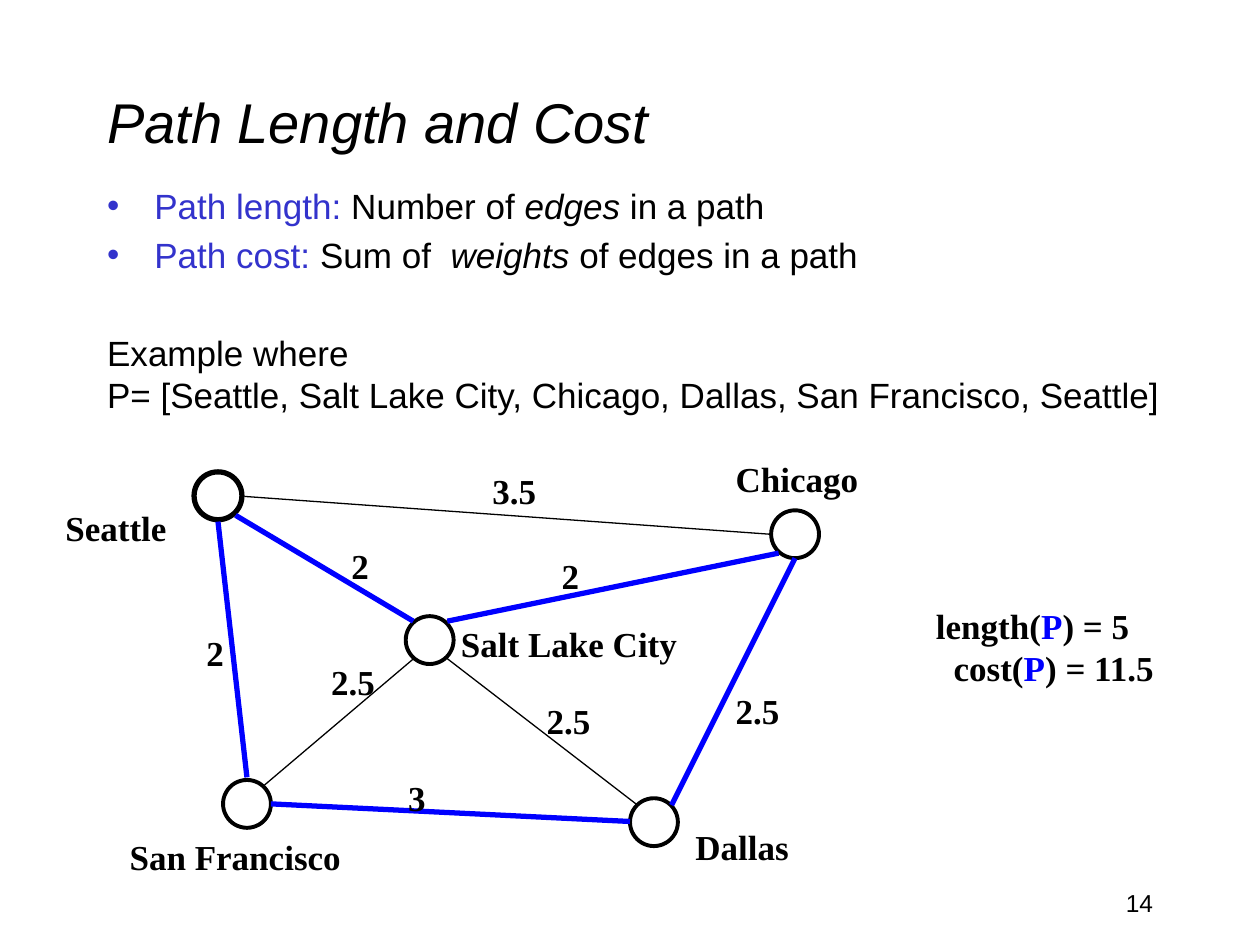
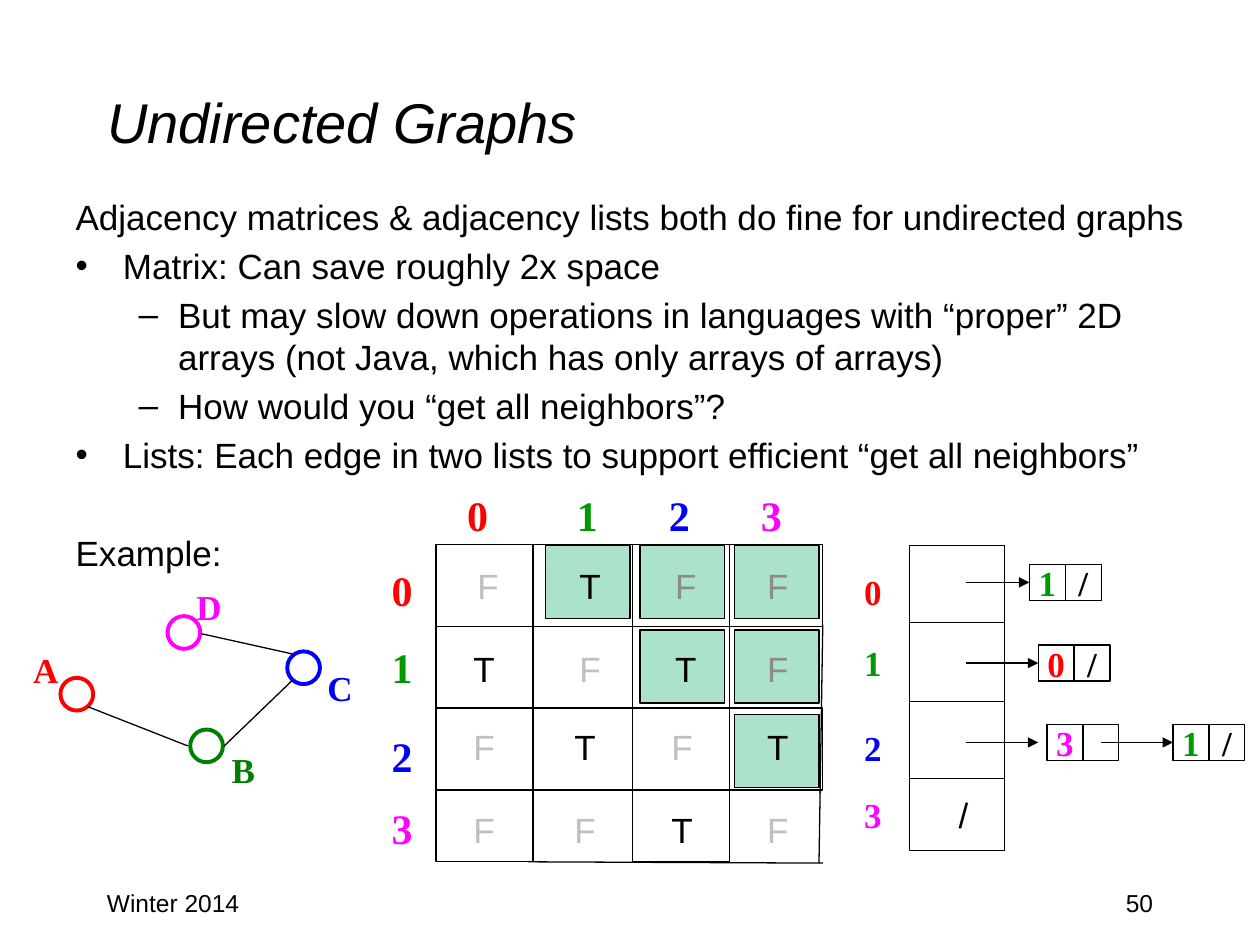
from lxml.etree import SubElement
from pptx import Presentation
from pptx.dml.color import RGBColor
from pptx.enum.shapes import MSO_CONNECTOR as CONNECTOR, MSO_SHAPE as SHAPE
from pptx.enum.text import MSO_ANCHOR as ANCHOR, MSO_AUTO_SIZE as AUTO_SIZE, PP_ALIGN as ALIGN
from pptx.oxml.ns import qn
from pptx.util import Inches, Pt

SANS, SERIF = "Arial", "Times New Roman"
BLACK, WHITE, GRAY, DARK_GRAY, MINT = "000000", "FFFFFF", "BFBFBF", "8C8C8C", "AAE2CA"
BLUE, TERM_BLUE = "0000FF", "3333CC"
RED, GREEN, DARK_GREEN, MAGENTA = "FF0000", "009900", "008000", "FF00FF"
INDEX_COLOURS = [RED, GREEN, BLUE, MAGENTA]

presentation = Presentation()
presentation.slide_width, presentation.slide_height = Inches(10), Inches(7.5)

# The slide is a grid of 100 columns by 75 rows; all lengths below count cells
COLUMN = presentation.slide_width / 100
ROW = presentation.slide_height / 75


def add_runs(paragraph, runs, size, font=SERIF, bold=False):
    """Each run is (text, colour) or (text, colour, italic)."""
    for text, colour, *italic in runs:
        if text == "\n":
            paragraph.add_line_break()
            SubElement(paragraph._p[-1], qn("a:rPr"), sz=str(size * 100))
            continue
        run = paragraph.add_run()
        run.text = text
        run.font.name, run.font.size = font, Pt(size)
        run.font.bold, run.font.italic = bold, bool(italic)
        run.font.color.rgb = RGBColor.from_string(colour)


def draw_shape(slide, kind, left, top, width, height, line=BLACK, weight=0.75, fill=None):
    shape = slide.shapes.add_shape(
        kind, int(left * COLUMN), int(top * ROW), int(width * COLUMN), int(height * ROW))
    shape.shadow.inherit = False
    if fill:
        shape.fill.solid()
        shape.fill.fore_color.rgb = RGBColor.from_string(fill)
    else:
        shape.fill.background()
    shape.line.color.rgb = RGBColor.from_string(line)
    shape.line.width = Pt(weight)
    return shape


# Body paragraphs: level, bullet, left indent, hanging indent, space before, runs
length_body = [
    (0, "•", 3.75, 3.75, 0, [("Path length:", TERM_BLUE), (" Number of ", BLACK),
                             ("edges", BLACK, True), (" in a path", BLACK)]),
    (0, "•", 3.75, 3.75, 4, [("Path cost:", TERM_BLUE), (" Sum of  ", BLACK),
                             ("weights", BLACK, True), (" of edges in a path", BLACK)]),
    (0, None, 0, 0, 32, [
        ("Example where", BLACK), ("\n", BLACK),
        ("P= [Seattle, Salt Lake City, Chicago, Dallas, San Francisco, Seattle]", BLACK)]),
]
undirected_body = [
    (0, None, 3.75, 3.75, 0, [
        ("Adjacency matrices & adjacency lists both do fine for undirected graphs", BLACK)]),
    (0, "•", 3.75, 3.75, 4, [("Matrix: Can save roughly 2x space", BLACK)]),
    (1, "–", 8.13, 3.13, 4, [
        ("But may slow down operations in languages with “proper” 2D "
         "arrays (not Java, which has only arrays of arrays)", BLACK)]),
    (1, "–", 8.13, 3.13, 4, [("How would you “get all neighbors”?", BLACK)]),
    (0, "•", 3.75, 3.75, 4, [
        ("Lists: Each edge in two lists to support efficient “get all neighbors”", BLACK)]),
    (0, None, 3.75, 3.75, 32, [("Example:", BLACK)]),
]

# Titles, bodies and footers
slides = []
for title, body_area, body_paragraphs, footers in [
    ("Path Length and Cost", (7.5, 14.15, 87.5, 20.8), length_body,
     [(71.7, "14", ALIGN.RIGHT)]),
    ("Undirected Graphs", (5, 15, 90.8, 49.2), undirected_body,
     [(7.5, "Winter 2014", ALIGN.LEFT), (71.7, "50", ALIGN.RIGHT)]),
]:
    slide = presentation.slides.add_slide(presentation.slide_layouts[1])
    slides.append(slide)
    title_box, body_box = slide.placeholders
    for box, (left, top, width, height), anchor in [
        (title_box, (7.5, 3.35, 85, 12.5), ANCHOR.MIDDLE),
        (body_box, body_area, ANCHOR.TOP),
    ]:
        box.left, box.top = int(left * COLUMN), int(top * ROW)
        box.width, box.height = int(width * COLUMN), int(height * ROW)
        box.text_frame.auto_size = AUTO_SIZE.NONE
        box.text_frame.vertical_anchor = anchor
    heading = title_box.text_frame.paragraphs[0]
    heading.alignment = ALIGN.LEFT
    add_runs(heading, [(title, BLACK, True)], 32, SANS)

    for number, (level, bullet, indent, hanging, space, runs) in enumerate(body_paragraphs):
        frame = body_box.text_frame
        paragraph = frame.add_paragraph() if number else frame.paragraphs[0]
        paragraph.level, paragraph.space_before = level, Pt(space)
        properties = paragraph._p.get_or_add_pPr()
        properties.set("marL", str(int(indent * COLUMN)))
        properties.set("indent", str(int(-hanging * COLUMN)))
        if bullet:
            SubElement(properties, qn("a:buChar"), char=bullet)
        else:
            SubElement(properties, qn("a:buNone"))
        add_runs(paragraph, runs, 20, SANS)

    for left, text, alignment in footers:
        footer = slide.shapes.add_textbox(
            int(left * COLUMN), int(70 * ROW), int(20.8 * COLUMN), int(5 * ROW))
        footer.text_frame.word_wrap = True
        paragraph = footer.text_frame.paragraphs[0]
        paragraph.alignment = alignment
        add_runs(paragraph, [(text, BLACK)], 14, SANS)

length_slide, undirected_slide = slides
lines = []   # slide, start, end, colour, weight, has arrowhead, shape joined at the end
labels = []  # slide, left, top, width, height, text, colour, size, font, bold

# City graph: circles, edges, names and weights
for left, top, weight in [(17.7, 61.9, 2.25), (15.4, 37.45, 3), (32.2, 48.9, 2.25),
                          (50, 63.35, 2.25), (61.2, 40.5, 2.25)]:
    draw_shape(length_slide, SHAPE.OVAL, left, top, 3.8, 3.8, BLACK, weight, WHITE)
for start, end, on_path in [
    ((19.6, 61.7), (17.3, 41.4), True),
    ((63.1, 44.3), (53.3, 63.9), True),
    ((61.1, 42.4), (19.4, 39.4), False),
    ((18.7, 40.9), (32.8, 49.3), True),
    ((21, 62.3), (32.8, 52.3), False),
    ((35.4, 52.2), (50.6, 63.9), False),
    ((35.5, 49.3), (61.8, 43.9), True),
    ((50, 65.2), (21.5, 63.8), True),
]:
    colour, weight = (BLUE, 3) if on_path else (BLACK, 0.75)
    lines.append((length_slide, start, end, colour, weight, False, None))
for left, top, width, text in [
    (57.4, 35.8, 11.8, "Chicago"), (4.2, 39.7, 10.1, "Seattle"),
    (9.3, 65.8, 18.9, "San Francisco"), (54.2, 65, 9.5, "Dallas"),
    (35.6, 48.9, 19.3, "Salt Lake City"),
    (38.1, 36.8, 5.5, "3.5"), (26.9, 42.75, 3.4, "2"), (43.6, 43.5, 3.4, "2"),
    (57.4, 54.2, 5.5, "2.5"), (31.4, 61.1, 3.4, "3"), (15.4, 49.6, 3.4, "2"),
    (25.3, 51.9, 5.5, "2.5"), (42.4, 55, 5.5, "2.5"),
]:
    labels.append((length_slide, left, top, width, 4.4, text, BLACK, 20, SERIF, True))

# Length and cost of the path
result_box = length_slide.shapes.add_textbox(
    int(73.3 * COLUMN), int(47.5 * ROW), int(19.4 * COLUMN), int(7.5 * ROW))
result_box.text_frame.word_wrap = True
length_line = result_box.text_frame.paragraphs[0]
cost_line = result_box.text_frame.add_paragraph()
cost_line._p.get_or_add_pPr().set("marL", str(int(1.4 * COLUMN)))
for paragraph, measure, value in [(length_line, "length(", ") = 5"),
                                  (cost_line, "cost(", ") = 11.5")]:
    add_runs(paragraph, [(measure, BLACK), ("P", BLUE), (value, BLACK)], 20, bold=True)

# Small graph with vertices A to D
for name, colour, left, top, name_left, name_top in [
    ("A", RED, 4.8, 53.8, 1.65, 51), ("B", DARK_GREEN, 15.1, 57.9, 17.4, 58.9),
    ("C", BLUE, 22.8, 51.7, 25, 52.4), ("D", MAGENTA, 13.3, 48.9, 14.6, 46),
]:
    draw_shape(undirected_slide, SHAPE.OVAL, left, top, 2.6, 2.6, colour, 2.25, WHITE)
    labels.append((undirected_slide, name_left, name_top, 4, 3.6, name, colour, 20, SERIF, True))
for start, end in [((23.2, 54), (17.8, 59.2)), ((14.9, 59.2), (7, 56.1)),
                   ((23.2, 51.9), (16, 50.3))]:
    lines.append((undirected_slide, start, end, BLACK, 0.75, False, None))

# Adjacency matrix: mint upper triangle inside overlapping frames
for row in range(4):
    for column in range(row + 1, 4):
        draw_shape(undirected_slide, SHAPE.RECTANGLE, 43.3 + 7.5 * (column - 1),
                   43.3 + 6.7 * row, 6.7, 5.8, fill=MINT)
for left, top, width, height in [(34.6, 56.2, 30.7, 6.5), (34.6, 43.2, 30.7, 6.5),
                                 (34.6, 43.2, 7.7, 25.2), (50.2, 43.2, 7.7, 25.2)]:
    draw_shape(undirected_slide, SHAPE.RECTANGLE, left, top, width, height)
for start, end in [((65.3, 49.6), (65, 68.5)), ((41.9, 68.4), (65.3, 68.5))]:
    lines.append((undirected_slide, start, end, BLACK, 0.75, False, None))

lower_lefts = [36.6, 44.6, 52.3, 59.9]
for row, (top, lefts, values) in enumerate([
    (44.3, [36.9, 45, 52.6, 59.9], "FTFF"), (50.9, [36.6, 45, 52.6, 59.9], "TFTF"),
    (57.1, lower_lefts, "FTFT"), (63.7, lower_lefts, "FFTF"),
]):
    for column, (left, value) in enumerate(zip(lefts, values)):
        false_colour = DARK_GRAY if column > row else GRAY
        colour = BLACK if value == "T" else false_colour
        labels.append((undirected_slide, left, top, 3.6, 4.2, value, colour, 20, SANS, False))

# Adjacency list: frames of the array
for top, height in [(55.7, 6.1), (43.3, 6.1), (43.3, 24.2)]:
    draw_shape(undirected_slide, SHAPE.RECTANGLE, 72.2, top, 7.5, height)
labels.append((undirected_slide, 75.1, 62.5, 2.8, 3.7, "/", BLACK, 20, SANS, False))

# Index numbers of the matrix and of the list
for index, (header_left, row_top, list_top) in enumerate(zip(
        [36.1, 44.8, 52.1, 59.4], [44.3, 50.4, 57.5, 63.2], [44.8, 50.4, 57.2, 62.5])):
    for left, top, size in [(header_left, 38.35, 24), (30.1, row_top, 24), (67.6, list_top, 20)]:
        labels.append((undirected_slide, left, top, 3.7, size / 5, str(index),
                       INDEX_COLOURS[index], size, SERIF, True))

# Linked nodes, each a pair of cells with an arrow leading to it
CELL = 2.85
for left, top, vertex, link, arrow_start, arrow_end in [
    (81.7, 44.8, 1, "/", 76.7, 81.7), (82.4, 51.2, 0, "/", 76.7, 82.4),
    (83.1, 57.5, 3, "", 76.7, 82.4), (93.1, 57.5, 1, "/", 87.4, 93.1),
]:
    pair = []
    for position, (text, colour) in enumerate([(str(vertex), INDEX_COLOURS[vertex]),
                                               (link, BLACK)]):
        cell = draw_shape(undirected_slide, SHAPE.RECTANGLE, left + position * CELL, top, CELL, CELL)
        pair.append(cell)
        if text:
            cell.text_frame.word_wrap = False
            cell.text_frame.vertical_anchor = ANCHOR.MIDDLE
            paragraph = cell.text_frame.paragraphs[0]
            paragraph.alignment = ALIGN.CENTER
            add_runs(paragraph, [(text, colour)], 20, bold=True)
    middle = top + CELL / 2
    joined = pair[0] if arrow_end == left else None
    lines.append((undirected_slide, (arrow_start, middle), (arrow_end, middle),
                  BLACK, 0.75, True, joined))

# Lines of both slides
for slide, (x1, y1), (x2, y2), colour, weight, arrow, joined in lines:
    connector = slide.shapes.add_connector(
        CONNECTOR.STRAIGHT, int(x1 * COLUMN), int(y1 * ROW), int(x2 * COLUMN), int(y2 * ROW))
    connector.line.color.rgb = RGBColor.from_string(colour)
    connector.line.width = Pt(weight)
    SubElement(connector._element.spPr, qn("a:effectLst"))
    if arrow:
        SubElement(connector.line._get_or_add_ln(), qn("a:tailEnd"), type="triangle")
    if joined:
        connector.end_connect(joined, 1)

# Labels of both slides, above the lines
for slide, left, top, width, height, text, colour, size, font, bold in labels:
    label = slide.shapes.add_textbox(
        int(left * COLUMN), int(top * ROW), int(width * COLUMN), int(height * ROW))
    label.text_frame.word_wrap = False
    add_runs(label.text_frame.paragraphs[0], [(text, colour)], size, font, bold)

presentation.save("out.pptx")
